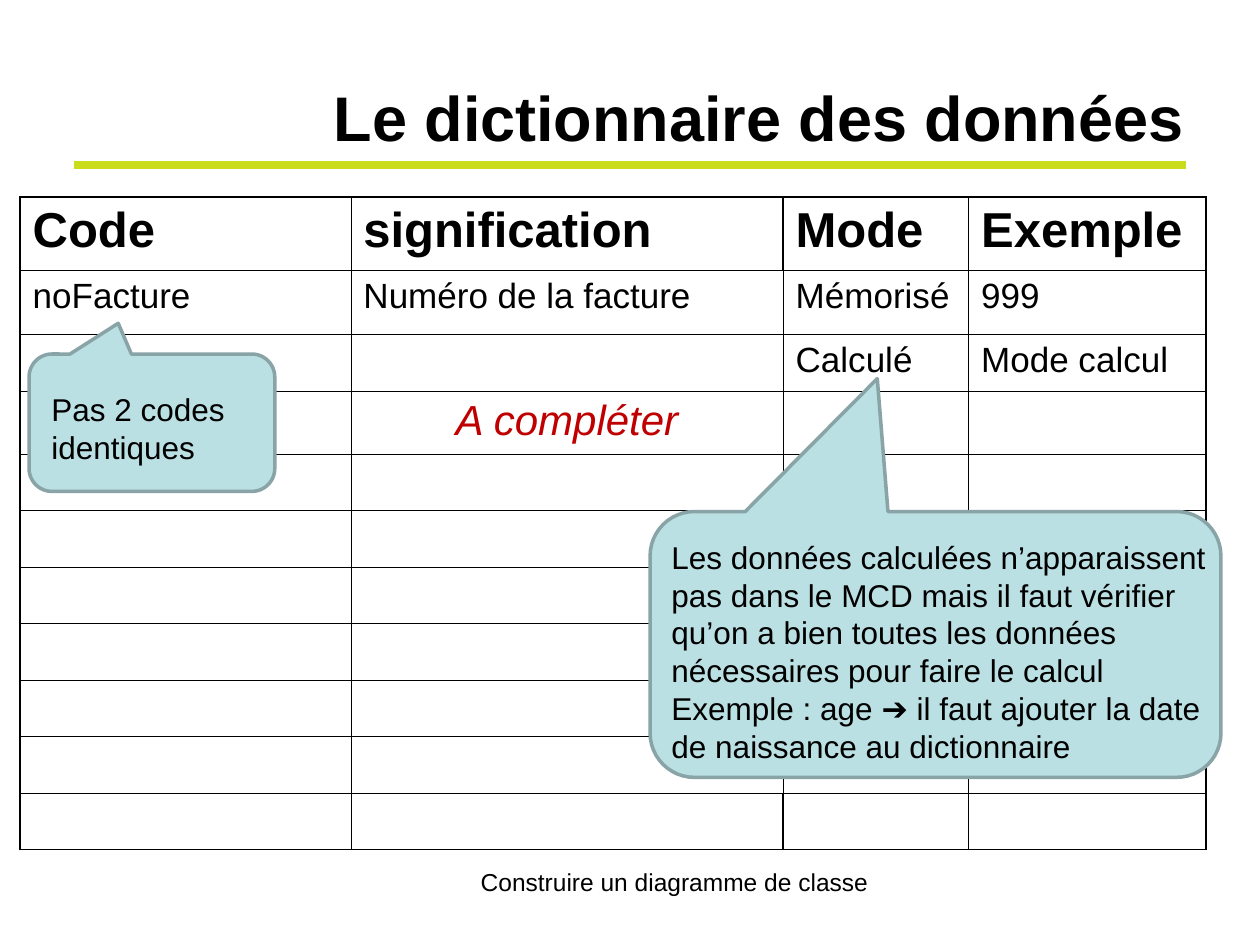
"""Builds the data dictionary slide with its table and two callouts."""
from lxml import etree
from pptx import Presentation
from pptx.dml.color import RGBColor
from pptx.enum.shapes import MSO_CONNECTOR, MSO_SHAPE
from pptx.enum.text import MSO_ANCHOR, PP_ALIGN
from pptx.oxml.ns import qn
from pptx.util import Pt

LEFT, CENTER, RIGHT = PP_ALIGN.LEFT, PP_ALIGN.CENTER, PP_ALIGN.RIGHT
TOP, MIDDLE = MSO_ANCHOR.TOP, MSO_ANCHOR.MIDDLE
CALLOUT = MSO_SHAPE.ROUNDED_RECTANGULAR_CALLOUT
STRAIGHT = MSO_CONNECTOR.STRAIGHT
BLACK, RED, LIME = "000000", "C00000", "CBDC1A"
CALLOUT_FILL, CALLOUT_LINE = "BBE0E3", "89A4A7"
THIN, THICK = 0.45, 1.08

TITLE = "Le dictionnaire des données"
FOOTER = "Construire un diagramme de classe"
HEADER = ["Code", "signification", "Mode", "Exemple"]
ENTRIES = [
    ["noFacture", "Numéro de la facture", "Mémorisé", "999"],
    ["", "", "Calculé", "Mode calcul"],
    ["", "A compléter", "", ""],
]
EMPTY_ROWS = 7
ROWS = [HEADER] + ENTRIES + [[""] * len(HEADER)] * EMPTY_ROWS
COLUMN_WIDTHS = [189, 247, 106, 135.5]
ROW_HEIGHTS = [42, 36.6, 32.3, 36] + [32.3] * EMPTY_ROWS
HEADER_FORMAT = dict(size=28, bold=True, before=7)
ENTRY_FORMAT = dict(size=20, before=5)
TODO_FORMAT = dict(size=24, italic=True, color=RED, align=CENTER, before=6)
CALLOUTS = [
    dict(box=(371.5, 292.3, 326.2, 151.9), tip=(-0.102, -1),
         text_box=(376.6, 303.8, 320.4, 136.8),
         paragraphs=["Les données calculées n’apparaissent pas dans le MCD mais il faut "
                     "vérifier qu’on a bien toutes les données nécessaires pour faire le calcul",
                     "Exemple : age ➔ il faut ajouter la date de naissance au dictionnaire"]),
    dict(box=(16.6, 202.3, 140.4, 78.5), tip=(-0.137, -0.724),
         text_box=(22.3, 219.6, 146.2, 50.4),
         paragraphs=["Pas 2 codes identiques"]),
]


def rgb(value):
    return RGBColor.from_string(value)


def points(*lengths):
    return [Pt(length) for length in lengths]


def write(frame, *paragraphs, size, color=BLACK, bold=False, italic=False,
          align=LEFT, anchor=TOP, before=0):
    frame.word_wrap = True
    frame.vertical_anchor = anchor
    for index, text in enumerate(paragraphs):
        paragraph = frame.add_paragraph() if index else frame.paragraphs[0]
        paragraph.alignment = align
        paragraph.space_before = Pt(before)
        run = paragraph.add_run()
        run.text = text
        font = run.font
        font.name, font.size, font.bold, font.italic = "Arial", Pt(size), bold, italic
        font.color.rgb = rgb(color)


def add_text(slide, box, *paragraphs, **text_format):
    write(slide.shapes.add_textbox(*points(*box)).text_frame, *paragraphs, **text_format)


def set_borders(cell, widths):
    properties = cell._tc.get_or_add_tcPr()
    for side, width in zip("LRTB", widths):
        border = etree.SubElement(properties, qn(f"a:ln{side}"), w=str(int(Pt(width))))
        fill = etree.SubElement(border, qn("a:solidFill"))
        etree.SubElement(fill, qn("a:srgbClr"), val=BLACK)


def add_dictionary(slide):
    box = points(11.5, 112.5, sum(COLUMN_WIDTHS), sum(ROW_HEIGHTS))
    table = slide.shapes.add_table(len(ROWS), len(HEADER), *box).table
    table.first_row = table.horz_banding = False
    for column, width in zip(table.columns, COLUMN_WIDTHS):
        column.width = Pt(width)
    last_row, last_column = len(ROWS) - 1, len(HEADER) - 1
    for r, (entries, height) in enumerate(zip(ROWS, ROW_HEIGHTS)):
        table.rows[r].height = Pt(height)
        outer_row = r in (0, last_row)
        for c, text in enumerate(entries):
            cell = table.cell(r, c)
            thick_sides = (c == 0 or (outer_row and c == 2),
                           c == last_column or (outer_row and c == 1),
                           r == 0, r == last_row)
            set_borders(cell, [THICK if thick else THIN for thick in thick_sides])
            cell.fill.background()
            if text:
                row_format = HEADER_FORMAT if r == 0 else TODO_FORMAT if r == 3 else ENTRY_FORMAT
                write(cell.text_frame, text, **row_format)


def add_callout(slide, box, tip, text_box, paragraphs):
    bubble = slide.shapes.add_shape(CALLOUT, *points(*box))
    bubble.shadow.inherit = False
    bubble.adjustments[0], bubble.adjustments[1] = tip
    bubble.fill.solid()
    bubble.fill.fore_color.rgb = rgb(CALLOUT_FILL)
    bubble.line.color.rgb = rgb(CALLOUT_LINE)
    bubble.line.width = Pt(2)
    add_text(slide, text_box, *paragraphs, size=18)


def main():
    deck = Presentation()
    deck.slide_width, deck.slide_height = points(720, 540)
    slide = deck.slides.add_slide(deck.slide_layouts[5])

    rule = slide.shapes.add_connector(STRAIGHT, *points(42.5, 94.5, 677.5, 94.5))
    rule.line.color.rgb = rgb(LIME)
    rule.line.width = Pt(4.5)
    etree.SubElement(rule._element.spPr, qn("a:effectLst"))

    title = slide.shapes.title
    title.left, title.top, title.width, title.height = points(36, 21.6, 648, 90)
    write(title.text_frame, TITLE, size=36, bold=True, align=RIGHT, anchor=MIDDLE)

    add_dictionary(slide)
    for callout in CALLOUTS:
        add_callout(slide, **callout)
    add_text(slide, (246.2, 491.8, 278.6, 37.4), FOOTER, size=14, align=CENTER)
    deck.save("out.pptx")


if __name__ == "__main__":
    main()
